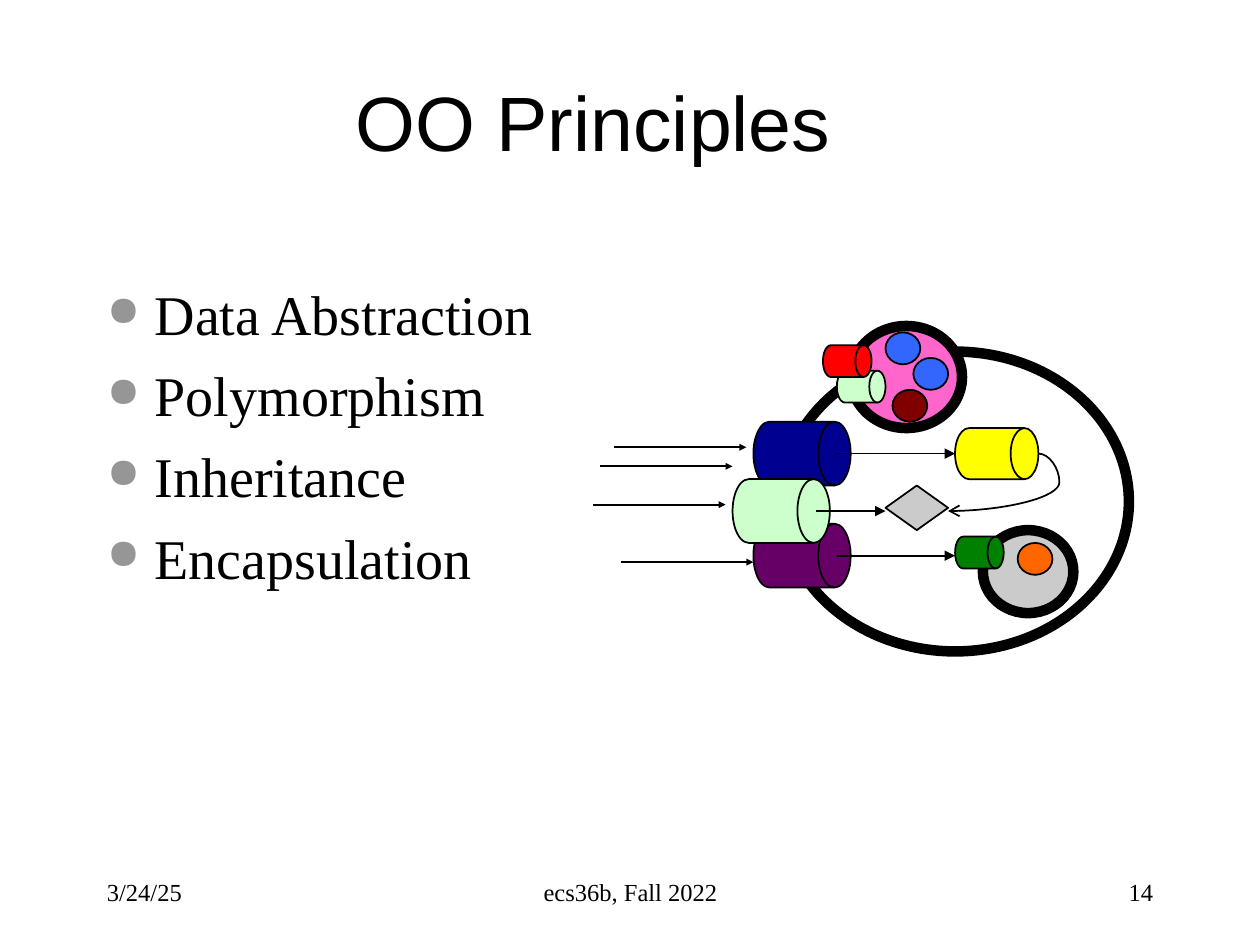
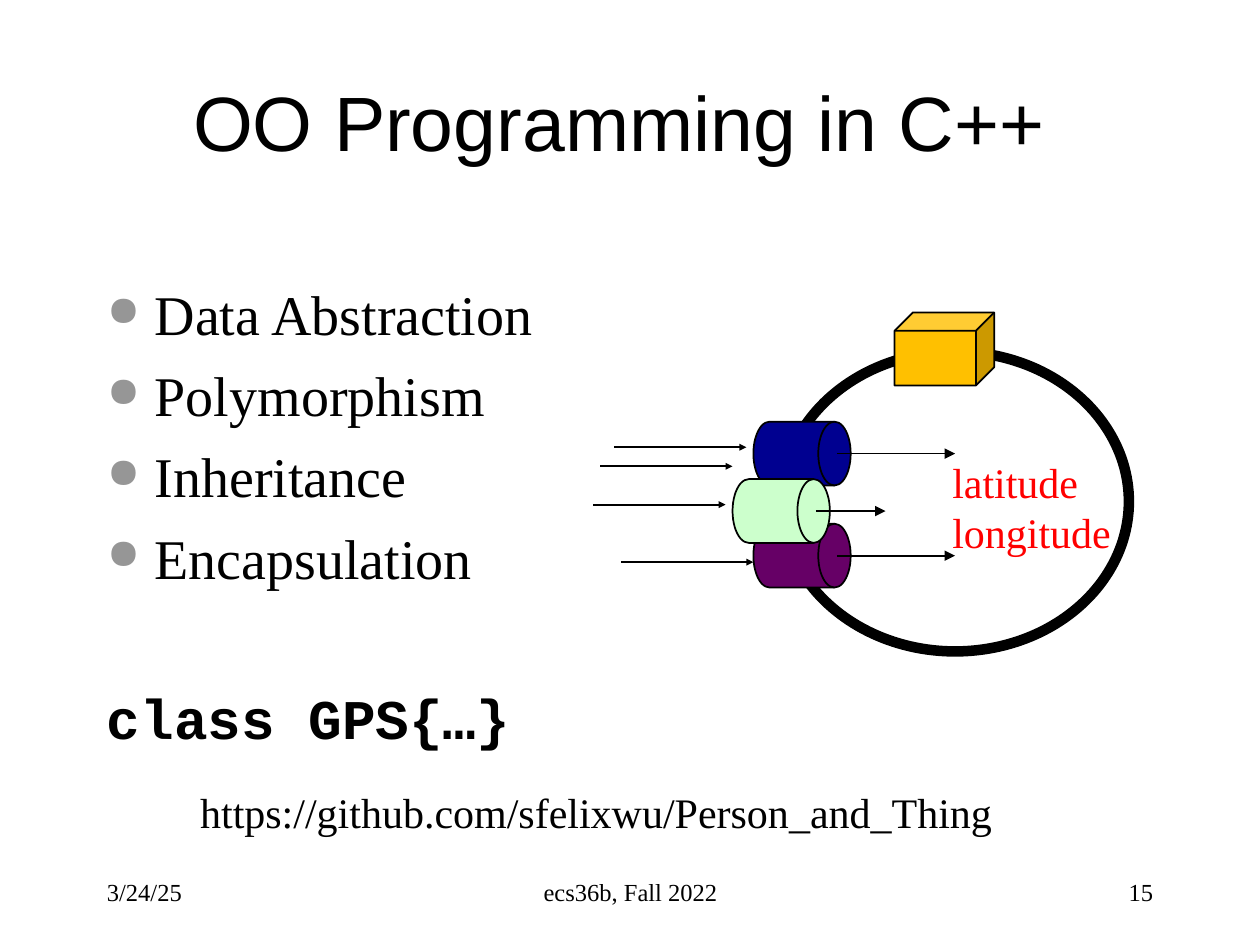
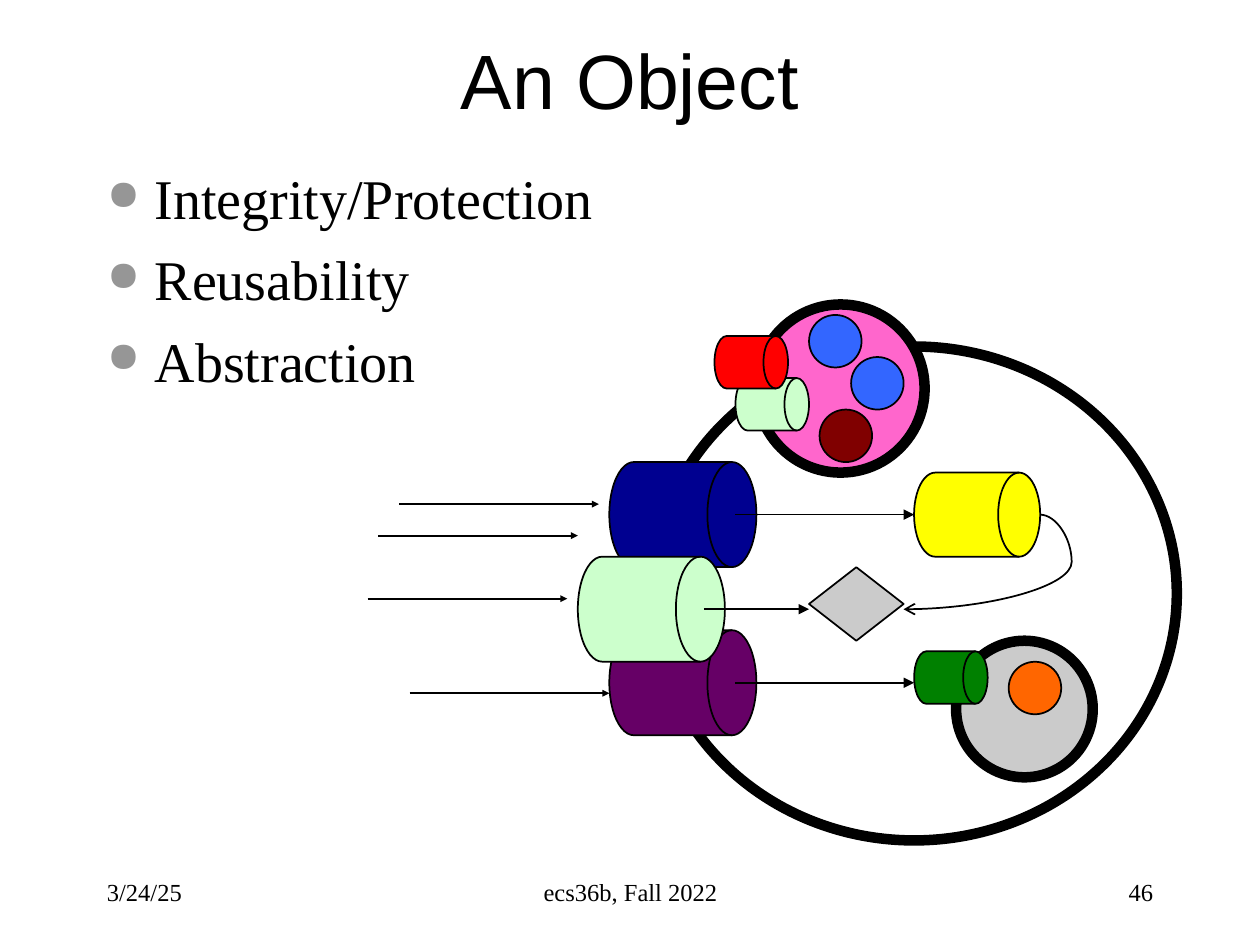
from dataclasses import dataclass

from lxml import etree
from pptx import Presentation
from pptx.dml.color import RGBColor
from pptx.enum.shapes import MSO_CONNECTOR, MSO_SHAPE
from pptx.enum.text import MSO_ANCHOR, PP_ALIGN
from pptx.oxml.ns import qn
from pptx.util import Inches, Pt

LEFT, CENTER, RIGHT = PP_ALIGN.LEFT, PP_ALIGN.CENTER, PP_ALIGN.RIGHT
TOP, MIDDLE = MSO_ANCHOR.TOP, MSO_ANCHOR.MIDDLE
STRAIGHT, CURVE = MSO_CONNECTOR.STRAIGHT, MSO_CONNECTOR.CURVE
DRUM, OVAL = MSO_SHAPE.FLOWCHART_DIRECT_ACCESS_STORAGE, MSO_SHAPE.OVAL
DIAMOND, CUBE = MSO_SHAPE.DIAMOND, MSO_SHAPE.CUBE
TITLE_ONLY = 5


@dataclass(frozen=True)
class Theme:
    sans: str = "Arial"
    serif: str = "Times New Roman"
    mono: str = "Courier New"
    black: str = "000000"
    bullet: str = "969696"
    navy: str = "000090"
    purple: str = "660066"
    mint: str = "CCFFCC"
    pink: str = "FF66CC"
    gray: str = "CBCBCB"
    red: str = "FF0000"
    green: str = "008000"
    orange: str = "FF6600"
    blue: str = "3366FF"
    maroon: str = "800000"
    yellow: str = "FFFF00"
    gold: str = "FFC000"
    title_size: int = 44
    body_size: int = 32
    label_size: int = 24
    footer_size: int = 14
    thin: int = 1
    thick: int = 6


T = Theme()

# Content
DATE, COURSE = "3/24/25", "ecs36b, Fall 2022"
PRINCIPLES = ["Data Abstraction", "Polymorphism", "Inheritance", "Encapsulation"]
SMALL_BODY = (6.2, 2.79, 2.76, 2.38)
LARGE_BODY = (5.17, 2.75, 4.17, 3.92)
SLIDES = [
    dict(title="OO Principles", title_at=(1.25, 0.33, 6.92, 1.25), number="14",
         bullets=PRINCIPLES, bullets_top=2.17, body=SMALL_BODY, nested=True),
    dict(title="OO Programming in C++", title_at=(1.25, 0.33, 7.33, 1.25), number="15",
         bullets=PRINCIPLES, bullets_top=2.17, body=SMALL_BODY, nested=False,
         code="class GPS{…}", fields=["latitude", "longitude"],
         link="https://github.com/sfelixwu/Person_and_Thing"),
    dict(title="An Object", title_at=(0.75, 0, 8.5, 1.25), number="46",
         bullets=["Integrity/Protection", "Reusability", "Abstraction"],
         bullets_top=1.25, body=LARGE_BODY, nested=True),
]

# Object diagram in grid units: left, top, width, height
BODY = (62, 33, 50, 47)
METHODS = [
    (DRUM, (58, 44, 14, 10), T.navy, T.thin),
    (DRUM, (58, 60, 14, 10), T.purple, T.thin),
    (DRUM, (55, 53, 14, 10), T.mint, T.thin),
]
# Arrows: start x, end x, y
CALLS = [(38, 57, 48), (36, 55, 51), (35, 54, 57), (39, 58, 66)]
ACCESSES = [(70, 87, 49), (67, 77, 58), (70, 87, 65)]
NESTED = [
    (OVAL, (72, 29, 16, 16), T.pink, T.thick),
    (OVAL, (91, 61, 13, 13), T.gray, T.thick),
    (DRUM, (70, 36, 7, 5), T.mint, T.thin),
    (DRUM, (68, 32, 7, 5), T.red, T.thin),
    (DRUM, (87, 62, 7, 5), T.green, T.thin),
    (OVAL, (96, 63, 5, 5), T.orange, T.thin),
    (OVAL, (77, 30, 5, 5), T.blue, T.thin),
    (OVAL, (81, 34, 5, 5), T.blue, T.thin),
    (OVAL, (78, 39, 5, 5), T.maroon, T.thin),
    (DIAMOND, (77, 54, 9, 7), T.gray, T.thin),
    (DRUM, (87, 45, 12, 8), T.yellow, T.thin),
]
RETURN_START, RETURN_END, RETURN_BEND = (99, 49), (86, 58), -23100


def style(p, size, font=T.serif, color=T.black, align=LEFT, bold=False):
    p.alignment = align
    for r in p.runs:
        r.font.size, r.font.name, r.font.bold = Pt(size), font, bold
        r.font.color.rgb = RGBColor.from_string(color)


def add_text(s, box, lines, size, anchor=TOP, **look):
    tf = s.shapes.add_textbox(*map(Inches, box)).text_frame
    tf.word_wrap, tf.vertical_anchor = True, anchor
    tf.text = "\n".join(lines)
    for p in tf.paragraphs:
        style(p, size, **look)
    return tf


def add_bullet(p):
    pPr = p._p.get_or_add_pPr()
    pPr.set("marL", str(Inches(0.38)))
    pPr.set("indent", str(-Inches(0.38)))
    color = etree.SubElement(pPr, qn("a:buClr"))
    etree.SubElement(color, qn("a:srgbClr"), val=T.bullet)
    etree.SubElement(pPr, qn("a:buSzPct"), val="75000")
    etree.SubElement(pPr, qn("a:buChar"), char="●")


def add_bullets(s, top, bullets, code=None):
    lines = bullets + ([code] if code else [])
    tf = add_text(s, (0.75, top, 8.5, 4.5), lines, T.body_size)
    for i, p in enumerate(tf.paragraphs):
        if i:
            p.space_before = Pt(8)
        if i < len(bullets):
            add_bullet(p)
        else:
            p.space_before = Pt(53)
            style(p, T.body_size, font=T.mono, bold=True)


def add_shape(s, kind, box, fill, width):
    sp = s.shapes.add_shape(kind, *map(Inches, box))
    sp.shadow.inherit = False
    if fill:
        sp.fill.solid()
        sp.fill.fore_color.rgb = RGBColor.from_string(fill)
    else:
        sp.fill.background()
    sp.line.color.rgb = RGBColor.from_string(T.black)
    sp.line.width = Pt(width)


def add_arrow(s, start, end, kind=STRAIGHT, head="triangle", size="med"):
    c = s.shapes.add_connector(kind, *map(Inches, (*start, *end)))
    c.line.color.rgb = RGBColor.from_string(T.black)
    c.line.width = Pt(T.thin)
    etree.SubElement(c.line._get_or_add_ln(), qn("a:tailEnd"),
                     type=head, w=size, len=size)
    etree.SubElement(c._element.spPr, qn("a:effectLst"))
    return c


def add_object(s, body, nested):
    """Draw the object so that its outer ellipse fills the box body."""
    sx, sy = body[2] / BODY[2], body[3] / BODY[3]

    def point(x, y):
        return body[0] + (x - BODY[0]) * sx, body[1] + (y - BODY[1]) * sy

    def add_parts(parts):
        for kind, (x, y, w, h), fill, width in parts:
            add_shape(s, kind, (*point(x, y), w * sx, h * sy), fill, width)

    add_parts([(OVAL, BODY, None, T.thick)] + METHODS)
    for arrows, size in ((CALLS, "sm"), (ACCESSES, "med")):
        for x1, x2, y in arrows:
            add_arrow(s, point(x1, y), point(x2, y), size=size)
    if nested:
        add_parts(NESTED)
        c = add_arrow(s, point(*RETURN_START), point(*RETURN_END), CURVE, "arrow")
        guides = c._element.spPr.find(qn("a:prstGeom")).get_or_add_avLst()
        etree.SubElement(guides, qn("a:gd"), name="adj1", fmla=f"val {RETURN_BEND}")


def add_title(s, text, box):
    sp = s.shapes.title
    sp.left, sp.top, sp.width, sp.height = map(Inches, box)
    sp.text_frame.text = text
    sp.text_frame.vertical_anchor = MIDDLE
    style(sp.text_frame.paragraphs[0], T.title_size, font=T.sans, align=CENTER)


def add_footer(s, number):
    for x, w, text, align in ((0.75, 2.08, DATE, LEFT), (3.42, 3.17, COURSE, CENTER),
                              (7.17, 2.08, number, RIGHT)):
        add_text(s, (x, 6.83, w, 0.5), [text], T.footer_size, MIDDLE, align=align)


def main():
    prs = Presentation()
    prs.slide_width, prs.slide_height = Inches(10), Inches(7.5)
    for data in SLIDES:
        s = prs.slides.add_slide(prs.slide_layouts[TITLE_ONLY])
        add_title(s, data["title"], data["title_at"])
        add_bullets(s, data["bullets_top"], data["bullets"], data.get("code"))
        add_footer(s, data["number"])
        add_object(s, data["body"], data["nested"])
        if "fields" in data:
            add_text(s, (7.46, 3.57, 1.47, 0.91), data["fields"], T.label_size, color=T.red)
            add_shape(s, CUBE, (7.1, 2.48, 0.79, 0.58), T.gold, T.thin)
            add_text(s, (1.49, 6.19, 6.54, 0.5), [data["link"]], T.label_size)
    prs.save("out.pptx")


if __name__ == "__main__":
    main()
